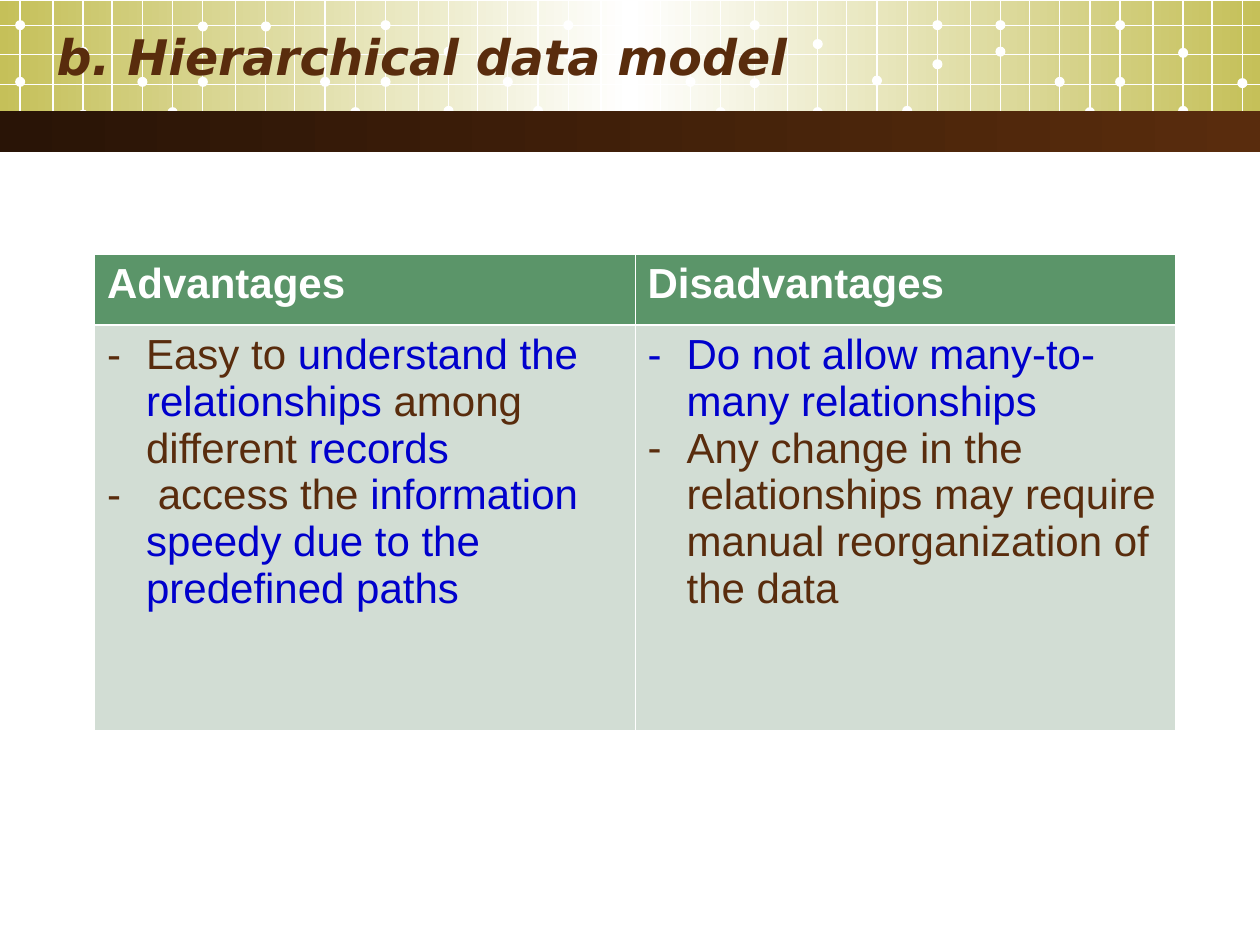
from copy import deepcopy
from itertools import product

from lxml.etree import SubElement
from pptx import Presentation
from pptx.dml.color import RGBColor
from pptx.enum.shapes import MSO_CONNECTOR, MSO_SHAPE
from pptx.enum.text import MSO_ANCHOR, MSO_AUTO_SIZE, PP_ALIGN
from pptx.oxml.ns import qn
from pptx.util import Inches, Pt

WHITE = RGBColor(0xFF, 0xFF, 0xFF)
OLIVE = RGBColor(0xC5, 0xC0, 0x59)
DARK_BROWN = RGBColor(0x29, 0x14, 0x06)
BROWN = RGBColor(0x59, 0x2C, 0x0D)
BLUE = RGBColor(0x00, 0x00, 0xCC)
GREEN = RGBColor(0x5B, 0x95, 0x69)
PALE_GREEN = RGBColor(0xD2, 0xDD, 0xD4)

TILE_STARTS = [0.16, 1.61, 3.06, 4.51, 5.99, 7.44, 8.89]
COLUMN_OFFSETS = [0, 0.26, 0.5, 0.73, 0.97, 1.21]
ROW_HEIGHTS = [0.2, 0.43, 0.67, 0.89]
DOT_COLUMNS = [0, 0, 2, 2, 4, 5]
DOT_TOPS = [
    [0.61, 0.16, 0.37, 0.87, 0.61, 0.85],
    [0.61, 0.17, 0.37, 0.17, 0.61, 0.85],
    [0.61, 0.16, 0.37, 0.84, 0.61, 0.84],
    [0.39, 0.16, 0.38, 0.16, 0.61, 0.85],
    [0.62, 0.16, 0.31, 0.85, 0.6, 0.84],
    [0.47, 0.16, 0.37, 0.16, 0.61, 0.85],
    [0.61, 0.16, 0.38, 0.84, 0.62],
]
DOT_SIZE = 0.08

HEADINGS = ["Advantages", "Disadvantages"]
POINTS = [
    [
        [("Easy to ", BROWN), ("understand the relationships ", BLUE),
         ("among different ", BROWN), ("records", BLUE)],
        [(" access the ", BROWN),
         ("information speedy due to the predefined paths", BLUE)],
    ],
    [
        [("Do not allow many-to-many relationships", BLUE)],
        [("Any change in the relationships may require manual "
          "reorganization of the data", BROWN)],
    ],
]


def add_gradient_band(slide, left, top, width, height, colors):
    """Draw a rectangle with evenly spaced gradient colours, left to right."""
    band = slide.shapes.add_shape(MSO_SHAPE.RECTANGLE, Inches(left), Inches(top),
                                  Inches(width), Inches(height))
    band.shadow.inherit = False
    band.line.fill.background()
    band.fill.gradient()
    band.fill.gradient_angle = 0
    stop_list = band.element.spPr.find(".//" + qn("a:gsLst"))
    while len(stop_list) < len(colors):
        stop_list.append(deepcopy(stop_list[-1]))
    for index, (stop, color) in enumerate(zip(band.fill.gradient_stops, colors)):
        stop.position = index / (len(colors) - 1)
        stop.color.rgb = color


def add_grid_line(group, x1, y1, x2, y2):
    """Draw one thin white grid line."""
    grid_line = group.shapes.add_connector(MSO_CONNECTOR.STRAIGHT, Inches(x1), Inches(y1),
                                           Inches(x2), Inches(y2))
    grid_line.line.color.rgb = WHITE
    grid_line.line.width = Pt(0.74)
    SubElement(grid_line.element.spPr, qn("a:effectLst"))


def add_dot(group, left, top):
    """Draw one white dot on the grid."""
    dot = group.shapes.add_shape(MSO_SHAPE.OVAL, Inches(left), Inches(top),
                                 Inches(DOT_SIZE), Inches(DOT_SIZE))
    dot.shadow.inherit = False
    dot.fill.solid()
    dot.fill.fore_color.rgb = WHITE
    dot.line.fill.background()


def add_header(slide, left, top, width):
    """Draw the olive band with its dotted grid and the brown band below."""
    add_gradient_band(slide, left, top + 0.01, width, 1.02, [OLIVE, WHITE, OLIVE])
    grid = slide.shapes.add_group_shape()
    for start, tops in zip(TILE_STARTS, DOT_TOPS):
        for column, dot_top in zip(DOT_COLUMNS, tops):
            center = left + start + COLUMN_OFFSETS[column]
            add_dot(grid, center - DOT_SIZE / 2, top + dot_top)
    for start, offset in product(TILE_STARTS, COLUMN_OFFSETS):
        if start + offset < width:
            x = left + start + offset
            add_grid_line(grid, x, top, x, top + 1.1)
    for row_height in ROW_HEIGHTS:
        add_grid_line(grid, left, top + row_height, left + width, top + row_height)
    add_gradient_band(slide, left, top + 0.88, width, 0.33, [DARK_BROWN, BROWN])


def add_run(paragraph, text, font_name, size, color, bold=False, italic=False):
    """Append one formatted run."""
    run = paragraph.add_run()
    run.text = text
    run.font.name = font_name
    run.font.size = Pt(size)
    run.font.color.rgb = color
    run.font.bold = bold
    run.font.italic = italic


def place_title(slide, left, top, width, height, text):
    """Format the title placeholder and bring it in front of the header."""
    title = slide.shapes.title
    title.left, title.top = Inches(left), Inches(top)
    title.width, title.height = Inches(width), Inches(height)
    frame = title.text_frame
    frame.word_wrap = True
    frame.auto_size = MSO_AUTO_SIZE.NONE
    frame.vertical_anchor = MSO_ANCHOR.MIDDLE
    paragraph = frame.paragraphs[0]
    paragraph.alignment = PP_ALIGN.LEFT
    add_run(paragraph, text, "DejaVu Sans", 28, BROWN, bold=True, italic=True)
    title.element.getparent().append(title.element)


def set_dash(paragraph, color):
    """Give a paragraph a hanging dash in the given colour."""
    properties = paragraph._p.get_or_add_pPr()
    properties.set("marL", str(Inches(0.31)))
    properties.set("indent", str(-Inches(0.31)))
    dash_color = SubElement(properties, qn("a:buClr"))
    SubElement(dash_color, qn("a:srgbClr"), val=str(color))
    SubElement(properties, qn("a:buFont"), typeface="Arial")
    SubElement(properties, qn("a:buChar"), char="-")


def style_cell(cell, fill_color, top_width, bottom_width):
    """Set the white borders and the fill of a cell."""
    properties = cell._tc.get_or_add_tcPr()
    widths = {"a:lnL": 0.45, "a:lnR": 0.45, "a:lnT": top_width, "a:lnB": bottom_width}
    for side, width in widths.items():
        border = SubElement(properties, qn(side), w=str(Pt(width)))
        border_fill = SubElement(border, qn("a:solidFill"))
        SubElement(border_fill, qn("a:srgbClr"), val=str(WHITE))
    cell.fill.solid()
    cell.fill.fore_color.rgb = fill_color


def add_comparison(slide, left, top, width, height):
    """Build the table of advantages and disadvantages."""
    comparison = slide.shapes.add_table(2, len(HEADINGS), Inches(left), Inches(top),
                                        Inches(width), Inches(height)).table
    comparison.horz_banding = False
    comparison.rows[0].height = Inches(0.56)
    comparison.rows[1].height = Inches(height - 0.56)
    for column, (heading, points) in enumerate(zip(HEADINGS, POINTS)):
        heading_cell, points_cell = (comparison.cell(row, column) for row in range(2))
        style_cell(heading_cell, GREEN, 0.45, 1.47)
        style_cell(points_cell, PALE_GREEN, 1.47, 0.45)
        add_run(heading_cell.text_frame.paragraphs[0], heading, "Arial", 24, WHITE, bold=True)
        frame = points_cell.text_frame
        for index, point in enumerate(points):
            paragraph = frame.add_paragraph() if index else frame.paragraphs[0]
            set_dash(paragraph, point[0][1])
            for text, color in point:
                add_run(paragraph, text, "Arial", 24, color)


def build():
    """Build and save the slide."""
    presentation = Presentation()
    presentation.slide_width = Inches(10)
    presentation.slide_height = Inches(7.5)
    slide = presentation.slides.add_slide(presentation.slide_layouts[5])
    add_header(slide, 0, 0, 10)
    place_title(slide, 0.35, 0.05, 9.14, 0.79, "b. Hierarchical data model")
    add_comparison(slide, 0.75, 2.02, 8.58, 3.78)
    presentation.save("out.pptx")


build()
